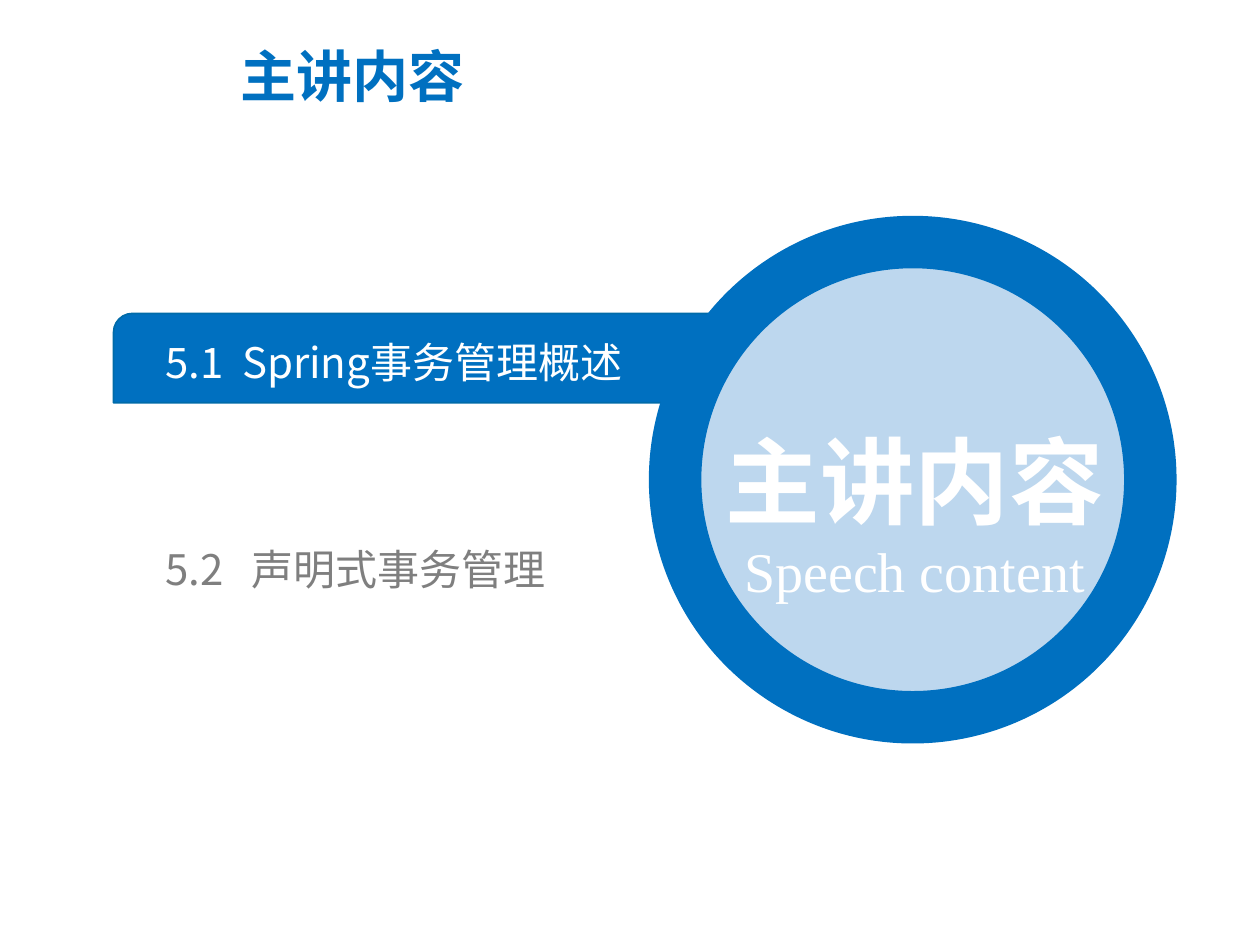
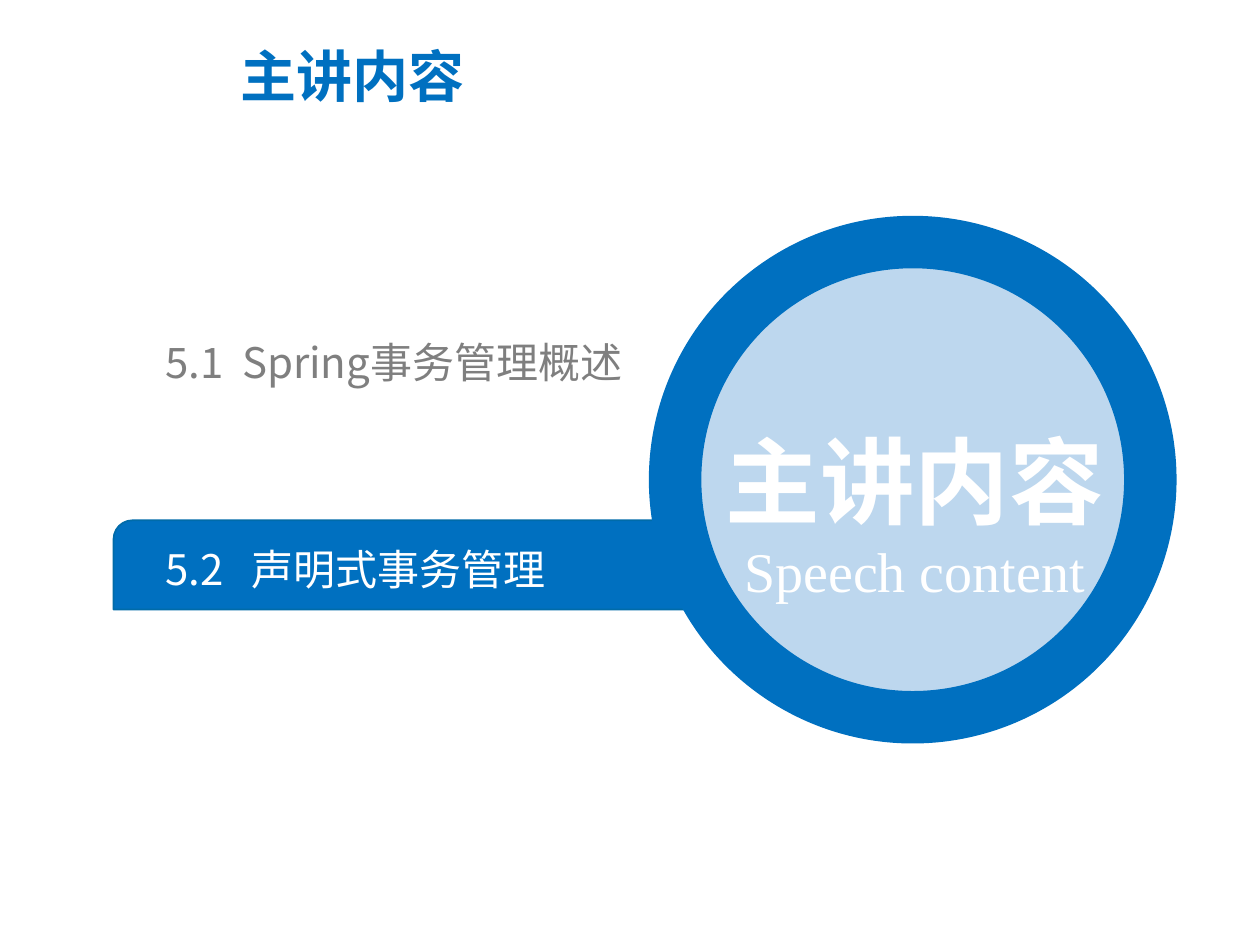
from lxml import etree
from pptx import Presentation
from pptx import util as u
from pptx.dml.color import RGBColor
from pptx.enum import shapes, text
from pptx.oxml.ns import qn

COLOURS = {"blue": "0070C0", "edge": "006BA9", "pale": "BDD7EE",
           "white": "FFFFFF", "grey": "7F7F7F"}
SANS, SERIF = "Noto Sans CJK SC", "Times New Roman"
HEADING = "主讲内容"

# Number, title and the distance from the number to the title in cm
TOPICS = [("5.1", "Spring事务管理概述", 1.55), ("5.2", "声明式事务管理", 1.74)]
TOPIC_LEFT, TOPIC_TOP, TOPIC_STEP = 3.33, 6.78, 4.17
TOPIC_WIDTH, TOPIC_HEIGHT = 12.09, 1.02
BAR_LEFT, BAR_WIDTH, BAR_HEIGHT = 2.29, 15.9, 1.8


class AgendaDeck:
    """Holds the shared style and the current slide."""

    def __init__(self):
        self.deck = Presentation()
        self.deck.slide_width, self.deck.slide_height = u.Cm(25.4), u.Cm(19.05)
        self.page = None

    def colour(self, name):
        return RGBColor.from_string(COLOURS[name])

    def add_page(self):
        self.page = self.deck.slides.add_slide(self.deck.slide_layouts[6])

    def shape(self, kind, place, fill, line, line_width):
        shape = self.page.shapes.add_shape(kind, *map(u.Cm, place))
        shape.shadow.inherit = False
        shape.fill.solid()
        shape.fill.fore_color.rgb = self.colour(fill)
        shape.line.color.rgb = self.colour(line)
        shape.line.width = u.Pt(line_width)
        return shape

    def text_box(self, place, middle=False, inset=True):
        frame = self.page.shapes.add_textbox(*map(u.Cm, place)).text_frame
        frame.word_wrap = True
        if middle:
            frame.vertical_anchor = text.MSO_ANCHOR.MIDDLE
            frame.auto_size = text.MSO_AUTO_SIZE.SHAPE_TO_FIT_TEXT
        if not inset:
            frame.margin_left = frame.margin_right = 0
            frame.margin_top = frame.margin_bottom = 0
        return frame

    def set_words(self, para, words, size, colour, font=SANS, bold=False,
                  centred=False, spacing=None, tab=None):
        para.text = words
        if centred:
            para.alignment = text.PP_ALIGN.CENTER
        if spacing:
            para.line_spacing = spacing
        properties = para._p.get_or_add_pPr()
        if tab:
            tabs = etree.SubElement(properties, qn("a:tabLst"))
            etree.SubElement(tabs, qn("a:tab"), pos=str(u.Cm(tab)), algn="l")
        para.font.size, para.font.bold = u.Pt(size), bold
        para.font.color.rgb = self.colour(colour)
        para.font.name = font
        # East Asian glyphs take their own typeface
        defaults = properties.find(qn("a:defRPr"))
        etree.SubElement(defaults, qn("a:ea"), typeface=font)

    def title(self):
        box = self.text_box((4.6, 0.86, 15.62, 2.16))
        self.set_words(box.paragraphs[0], HEADING, 32, "blue", bold=True, spacing=0.9)

    def bar(self, topic_top):
        top = topic_top - (BAR_HEIGHT - TOPIC_HEIGHT) / 2 - 0.07
        bar = self.shape(shapes.MSO_SHAPE.ROUND_2_DIAG_RECTANGLE,
                         (BAR_LEFT, top, BAR_WIDTH, BAR_HEIGHT), "blue", "edge", 1)
        bar.adjustments[0], bar.adjustments[1] = 0.21, 0

    def disc(self):
        self.shape(shapes.MSO_SHAPE.OVAL, (13.61, 4.88, 9.58, 9.58), "pale", "blue", 30)
        box = self.text_box((13.49, 7.26, 9.9, 5.05), middle=True)
        self.set_words(box.paragraphs[0], HEADING, 54, "white", bold=True,
                       centred=True, spacing=1.5)
        self.set_words(box.add_paragraph(), "Speech content", 32, "white",
                       font=SERIF, centred=True)

    def topic(self, top, number, name, tab, active):
        box = self.text_box((TOPIC_LEFT, top, TOPIC_WIDTH, TOPIC_HEIGHT),
                            middle=True, inset=False)
        self.set_words(box.paragraphs[0], f"{number}\t{name}", 24,
                       "white" if active else "grey", tab=tab)

    def agenda(self, current):
        tops = [TOPIC_TOP + index * TOPIC_STEP for index in range(len(TOPICS))]
        self.add_page()
        self.title()
        self.bar(tops[current])
        self.disc()
        for index, (top, topic) in enumerate(zip(tops, TOPICS)):
            self.topic(top, *topic, active=index == current)


def main():
    agenda_deck = AgendaDeck()
    # One page per topic, with that topic highlighted
    for current in range(len(TOPICS)):
        agenda_deck.agenda(current)
    agenda_deck.deck.save("out.pptx")


if __name__ == "__main__":
    main()
